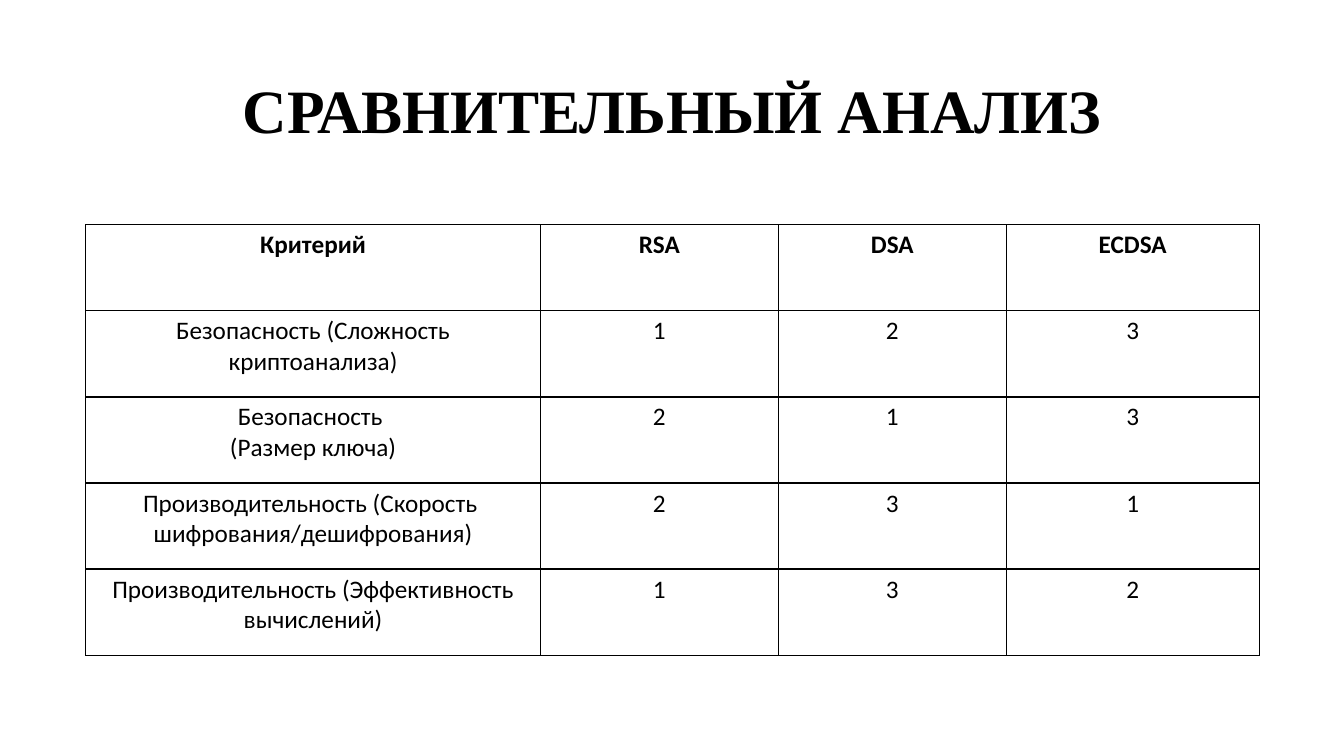
from lxml.etree import SubElement
from pptx import Presentation
from pptx.dml.color import RGBColor
from pptx.enum.text import MSO_ANCHOR as Anchor, PP_ALIGN as Align
from pptx.oxml.ns import qn
from pptx.util import Inches, Pt

WIDTH, HEIGHT = 13.33, 7.5
ROWS = [
    ["Критерий", "RSA", "DSA", "ECDSA"],
    ["Безопасность (Сложность криптоанализа)", "1", "2", "3"],
    ["Безопасность \n(Размер ключа)", "2", "1", "3"],
    ["Производительность (Скорость  шифрования/дешифрования)", "2", "3", "1"],
    ["Производительность (Эффективность вычислений)", "1", "3", "2"],
]


def color(value):
    return RGBColor.from_string(value)


class SlideBuilder:
    ink, paper = "000000", "FFFFFF"
    title_font, body_font = "Times New Roman", "Calibri"

    def __init__(self, deck):
        self.deck = deck
        self.page = deck.slides.add_slide(deck.slide_layouts[5])

    def frame(self, left, top, width, height):
        across, down = self.deck.slide_width, self.deck.slide_height
        return [int(across * left), int(down * top), int(across * width), int(down * height)]

    def style(self, para, font, size, bold):
        para.alignment = Align.CENTER
        para.font.name = font
        para.font.size = Pt(size)
        para.font.bold = bold
        para.font.color.rgb = color(self.ink)

    def title(self, text, *shares):
        box = self.page.shapes.title
        box.left, box.top, box.width, box.height = self.frame(*shares)
        box.text_frame.text = text
        box.text_frame.vertical_anchor = Anchor.MIDDLE
        para = box.text_frame.paragraphs[0]
        para.line_spacing = 0.9
        self.style(para, self.title_font, 44, True)

    def border(self, cell):
        props = cell._tc.get_or_add_tcPr()
        for side in ("a:lnL", "a:lnR", "a:lnT", "a:lnB"):
            line = SubElement(props, qn(side), w=str(Pt(1)))
            fill = SubElement(line, qn("a:solidFill"))
            SubElement(fill, qn("a:srgbClr"), val=self.ink)

    def table(self, rows, column_shares, *shares):
        left, top, width, height = self.frame(*shares)
        box = self.page.shapes.add_table(len(rows), len(rows[0]), left, top, width, height)
        table = box.table
        for column, share in zip(table.columns, column_shares):
            column.width = int(width * share)
        for r, row in enumerate(rows):
            for c, text in enumerate(row):
                cell = table.cell(r, c)
                cell.text = text
                self.border(cell)
                cell.fill.solid()
                cell.fill.fore_color.rgb = color(self.paper)
                for para in cell.text_frame.paragraphs:
                    self.style(para, self.body_font, 18, r == 0)


def main():
    deck = Presentation()
    deck.slide_width, deck.slide_height = Inches(WIDTH), Inches(HEIGHT)
    slide = SlideBuilder(deck)
    slide.title("СРАВНИТЕЛЬНЫЙ АНАЛИЗ", 0.92 / WIDTH, 0.4 / HEIGHT, 11.5 / WIDTH, 1.45 / HEIGHT)
    column_shares = [width / 11.63 for width in (4.51, 2.36, 2.26, 2.51)]
    slide.table(ROWS, column_shares, 0.85 / WIDTH, 2.23 / HEIGHT, 11.63 / WIDTH, 4.27 / HEIGHT)
    deck.save("out.pptx")


if __name__ == "__main__":
    main()
